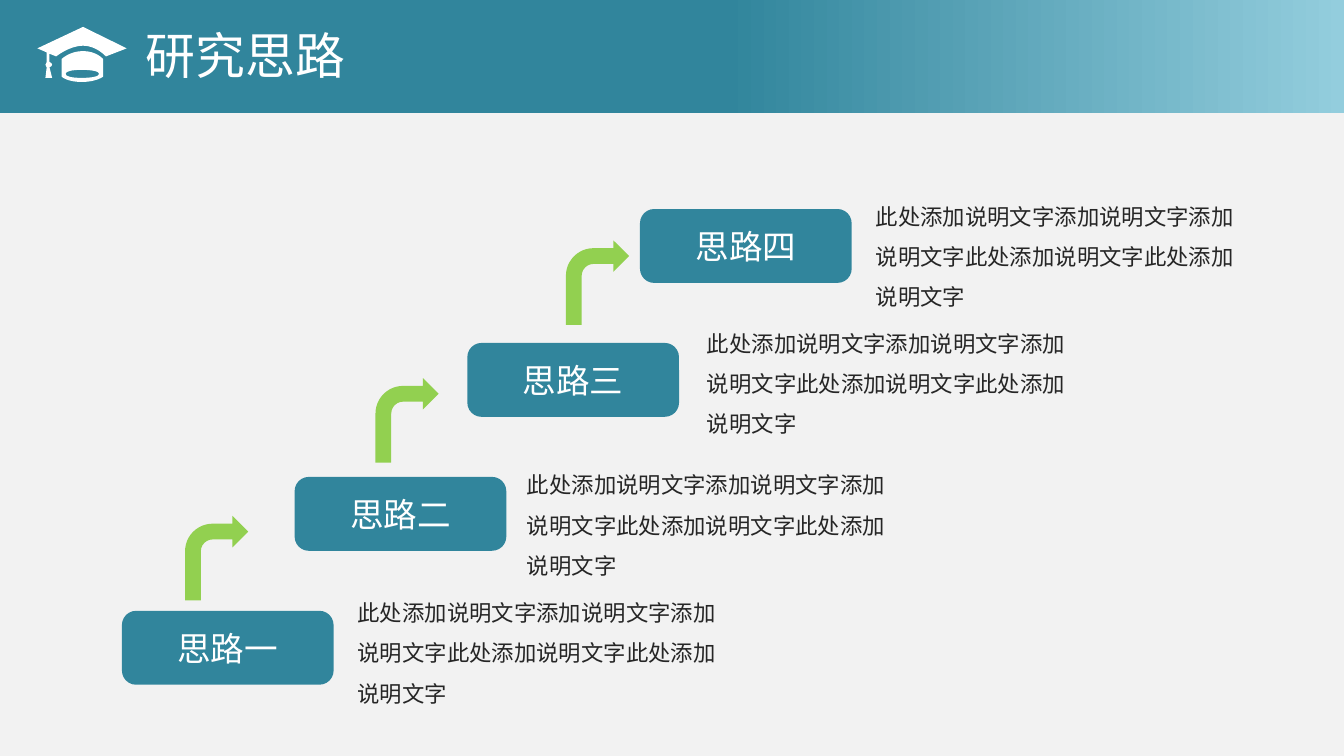
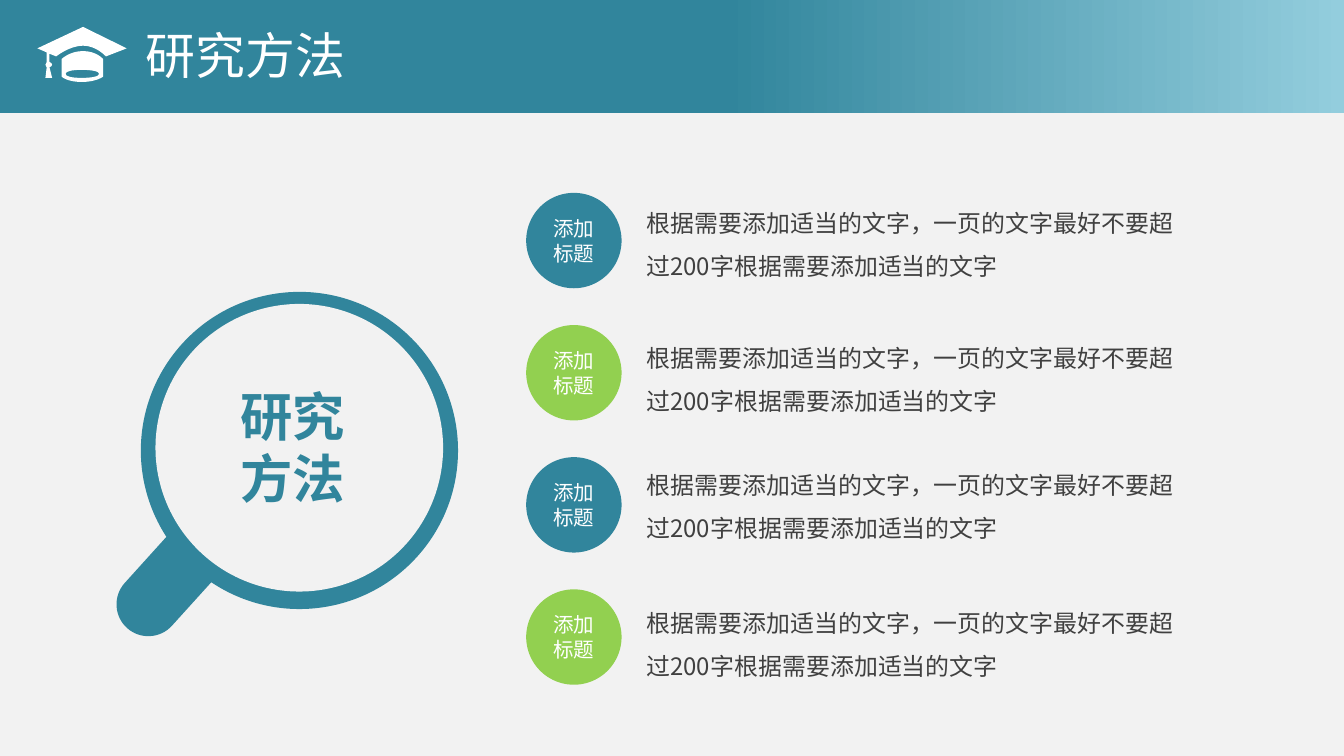
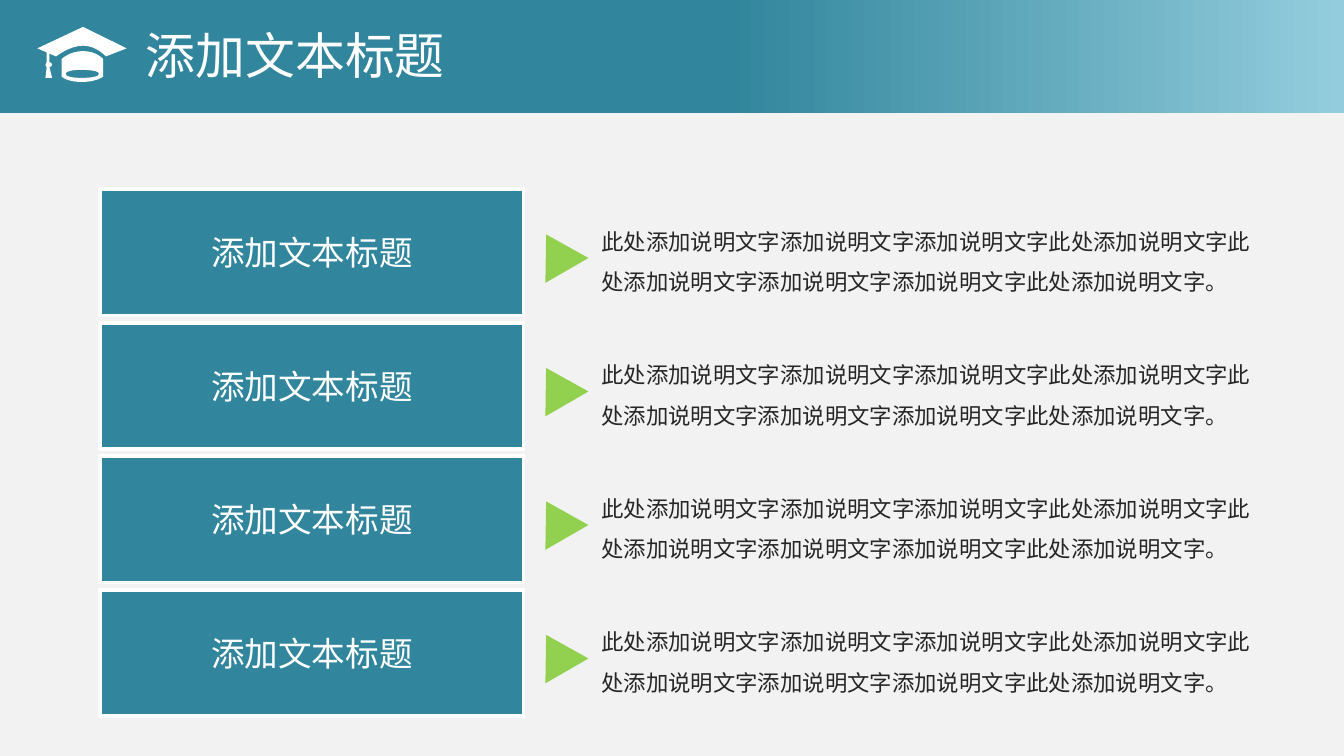
from copy import deepcopy
from math import asin, cos, degrees, radians, sin, tan

from lxml import etree
from pptx import Presentation
from pptx.dml.color import RGBColor
from pptx.enum.shapes import MSO_SHAPE
from pptx.enum.text import MSO_ANCHOR, MSO_AUTO_SIZE, PP_ALIGN
from pptx.oxml.ns import qn
from pptx.util import Inches, Pt

RECT, ROUND = MSO_SHAPE.RECTANGLE, MSO_SHAPE.ROUNDED_RECTANGLE
OVAL, WEDGE = MSO_SHAPE.OVAL, MSO_SHAPE.ISOSCELES_TRIANGLE
BEND = MSO_SHAPE.BENT_ARROW
CENTER, MIDDLE = PP_ALIGN.CENTER, MSO_ANCHOR.MIDDLE
GROW = MSO_AUTO_SIZE.SHAPE_TO_FIT_TEXT

WIDTH, HEIGHT = Inches(10), Inches(5.625)
COLS = 100
CELL = WIDTH / COLS
ROWS = HEIGHT / CELL

FONT = "Noto Sans CJK SC"
TEAL, SKY, GREEN = "31859C", "93CDDD", "92D050"
WHITE, PALE, INK, GRAY = "FFFFFF", "F2F2F2", "262626", "404040"

CAP = [
    [(5.1, 2.2), (5.1, 2.2, 4.4, 1.4, 3.4, 1.4), (2.4, 1.4, 1.4, 2.2, 1.4, 2.2),
     (0.9, 2), (0.9, 2.6), (1, 2.7, 1.1, 2.7, 1.1, 2.8),
     (1.1, 2.9, 1, 3, 0.9, 3), (1.1, 3.8), (0.6, 3.8), (0.7, 3),
     (0.7, 3, 0.6, 2.9, 0.6, 2.8), (0.6, 2.8, 0.7, 2.7, 0.7, 2.6),
     (0.7, 1.9), (0, 1.6), (3.4, 0), (6.65, 1.6)],
    [(3.4, 1.8), (4.4, 1.8, 4.9, 2.4, 4.9, 2.4), (4.9, 3.7),
     (4.9, 3.7, 4.4, 4.1, 3.3, 4.1), (2.2, 4.1, 1.8, 3.7, 1.8, 3.7),
     (1.8, 2.4), (1.8, 2.4, 2.4, 1.8, 3.4, 1.8)],
    [(3.3, 3.8), (4, 3.8, 4.6, 3.7, 4.6, 3.5), (4.6, 3.3, 4, 3.2, 3.3, 3.2),
     (2.6, 3.2, 2.1, 3.3, 2.1, 3.5), (2.1, 3.7, 2.6, 3.8, 3.3, 3.8)],
]

LEAD = "此处添加说明文字添加说明文字添加说明文字"
NOTE = LEAD + "此处添加说明文字此处添加说明文字"
LONG = NOTE + "添加说明文字添加说明文字此处添加说明文字。"
ADVICE = "根据需要添加适当的文字，一页的文字最好不要超过200字根据需要添加适当的文字"


def color(code):
    return RGBColor.from_string(code)


def grid(*cells):
    return [round(cell * CELL) for cell in cells]


def paint(shape, fill, line=None):
    shape.shadow.inherit = False
    shape.fill.solid()
    shape.fill.fore_color.rgb = color(fill)
    if line:
        shape.line.color.rgb = color(line)
        shape.line.width = Pt(2)
    else:
        shape.line.fill.background()
    return shape


def block(shapes, kind, box, fill, line=None):
    return paint(shapes.add_shape(kind, *grid(*box)), fill, line)


def write(shape, lines, size, tint, align=None, bold=False, gap=None):
    frame = shape.text_frame
    frame.word_wrap = True
    for i, line in enumerate(lines):
        para = frame.paragraphs[0] if i == 0 else frame.add_paragraph()
        para.alignment = align
        para.line_spacing = gap
        run = para.add_run()
        run.text = line
        run.font.size = Pt(size)
        run.font.bold = bold
        run.font.color.rgb = color(tint)
        run.font.name = FONT
        etree.SubElement(run.font._element, qn("a:ea"), typeface=FONT)
    return frame


def label(shape, lines, size):
    frame = write(shape, lines, size, WHITE, CENTER)
    frame.vertical_anchor = MIDDLE
    return frame


def text(slide, box, words, size, tint, **style):
    return write(slide.shapes.add_textbox(*grid(*box)), [words], size, tint, **style)


def inset(frame, *cells):
    (frame.margin_left, frame.margin_top,
     frame.margin_right, frame.margin_bottom) = grid(*cells)


def arc(x, y, radius, *turns):
    turns = [radians(turn) for turn in turns]
    nodes = [(x + radius * cos(turns[0]), y + radius * sin(turns[0]))]
    for a, b in zip(turns, turns[1:]):
        k = 4 / 3 * tan((b - a) / 4)
        spots = [(cos(a) - k * sin(a), sin(a) + k * cos(a)),
                 (cos(b) + k * sin(b), sin(b) - k * cos(b)), (cos(b), sin(b))]
        nodes.append(tuple(v for p, q in spots
                           for v in (x + radius * p, y + radius * q)))
    return nodes


def outline(shapes, left, top, paths, fill):
    def spots(node):
        return [grid(left + x, top + y) for x, y in zip(node[::2], node[1::2])]

    pen = shapes.build_freeform(*spots(paths[0][0])[0], scale=1.0)
    for i, nodes in enumerate(paths):
        if i:
            pen.move_to(*spots(nodes[0])[0])
        pen.add_line_segments([s for n in nodes[1:] for s in spots(n)], close=True)
    shape = pen.convert_to_shape()
    lines = iter(list(shape._element.iter(qn("a:lnTo"))))
    for node in (n for nodes in paths for n in nodes[1:]):
        parts = [next(lines) for _ in spots(node)]
        if len(parts) == 3:
            curve = etree.Element(qn("a:cubicBezTo"))
            parts[0].addprevious(curve)
            for part in parts:
                curve.append(part[0])
                part.getparent().remove(part)
    return paint(shape, fill)


def banner(slide, box, title):
    left, top, _, _ = box
    band = block(slide.shapes, RECT, box, TEAL)
    band.fill.gradient()
    band.fill.gradient_angle = 180
    last = list(band._element.iter(qn("a:gs")))[-1]
    last.addnext(deepcopy(last))
    stops = [(0, SKY), (0.46, TEAL), (1, TEAL)]
    for stop, (place, tint) in zip(band.fill.gradient_stops, stops):
        stop.position = place
        stop.color.rgb = color(tint)
    frame = text(slide, (left + 9.84, top + 1.35, 42.2, 5.5), title, 26.7, WHITE)
    frame.auto_size = GROW
    outline(slide.shapes, left + 2.78, top + 2, CAP, WHITE)


def page(deck, title):
    slide = deck.slides.add_slide(deck.slide_layouts[6])
    banner(slide, (0, 0, COLS, 8.4), title)
    return slide


def ground(deck, slide):
    back = deck.slide_master.background.fill
    back.solid()
    back.fore_color.rgb = color(WHITE)
    sheet = block(slide.shapes, RECT, (0, 0, COLS, ROWS), PALE)
    deck.slide_master.shapes.element.insert(2, sheet._element)


def stairs(slide, box):
    left, top, width, height = box
    wide, high = 15.75, 5.5
    run, rise = (width - wide) / 3, (height - high) / 3
    base = top + height - high
    for i, number in enumerate("一二三四"):
        step = block(slide.shapes, ROUND,
                     (left + i * run, base - i * rise, wide, high), TEAL)
        step.adjustments[0] = 0.192
        label(step, ["思路" + number], 18)
    notes = [(16.55, 27.55), (29.15, 18.05), (42.55, 7.5), (55.1, -1.95)]
    for x, y in notes:
        text(slide, (left + x, top + y, 29.1, 9.4), NOTE, 12, INK, gap=1.5)
    for i in range(3):
        block(slide.shapes, BEND,
              (left + 4.7 + 14.17 * i, base - 7.07 - 10.25 * i, 4.7, 6.3), GREEN)


def lens(slide, box):
    left, top, width, height = box
    ring, grip, lean = width / 2, 2.37, 0.66
    start = 90 + degrees(asin((grip + lean) / ring))
    end = 450 - degrees(asin((grip - lean) / ring))
    nodes = arc(ring, ring, ring, start, 180, 270, 360, end)
    nodes += arc(ring - lean, height - grip, grip, 0, 90, 180)
    group = slide.shapes.add_group_shape()
    body = outline(group.shapes, left, top, [nodes], TEAL)
    body.rotation = 42.1
    block(group.shapes, OVAL, (left + 3.3, top + 1.75, 21.4, 21.4), PALE)
    frame = text(slide, (left + 6.7, top + 7.2, 13.6, 10.4), "研究方法", 28, TEAL,
                 align=CENTER, bold=True)
    frame.auto_size = GROW


def methods(slide, box):
    left, top, width, height = box
    size = 7.1
    pitch = (height - size) / 3
    for i, y in enumerate((-1, 9.05, 18.5, 28.75)):
        dot = block(slide.shapes, OVAL, (left, top + i * pitch, size, size),
                    (TEAL, GREEN)[i % 2])
        inset(label(dot, ["添加", "标题"], 11), 0, 0, 0, 0)
        frame = text(slide, (left + 8.95, top + y, width - 8.95, 8.6),
                     ADVICE, 12.8, GRAY, gap=1.5)
        inset(frame, 0, 1.1, 1.4, 0.7)


def topics(slide, box):
    left, top, width, height = box
    high = 9.4
    pitch = (height - high) / 3
    for i in range(4):
        y = top + i * pitch
        card = block(slide.shapes, RECT, (left, y, 31.5, high), TEAL, WHITE)
        label(card, ["添加文本标题"], 18)
        mark = block(slide.shapes, WEDGE, (left + 32.1, y + 3.15, 3.7, 3.1), GREEN)
        mark.rotation = 330
        text(slide, (left + 36.3, y + 1.4, width - 36.3, 7), LONG, 12, INK, gap=1.5)


def main():
    deck = Presentation()
    deck.slide_width, deck.slide_height = WIDTH, HEIGHT
    slide = page(deck, "研究思路")
    ground(deck, slide)
    stairs(slide, (9.07, 15.55, 54.3, 35.4))
    slide = page(deck, "研究方法")
    lens(slide, (8.27, 20.87, 23.6, 30.2))
    methods(slide, (39.15, 14.35, 51.3, 36.6))
    topics(page(deck, "添加文本标题"), (7.46, 14.08, 87, 39.2))
    deck.save("out.pptx")


if __name__ == "__main__":
    main()
